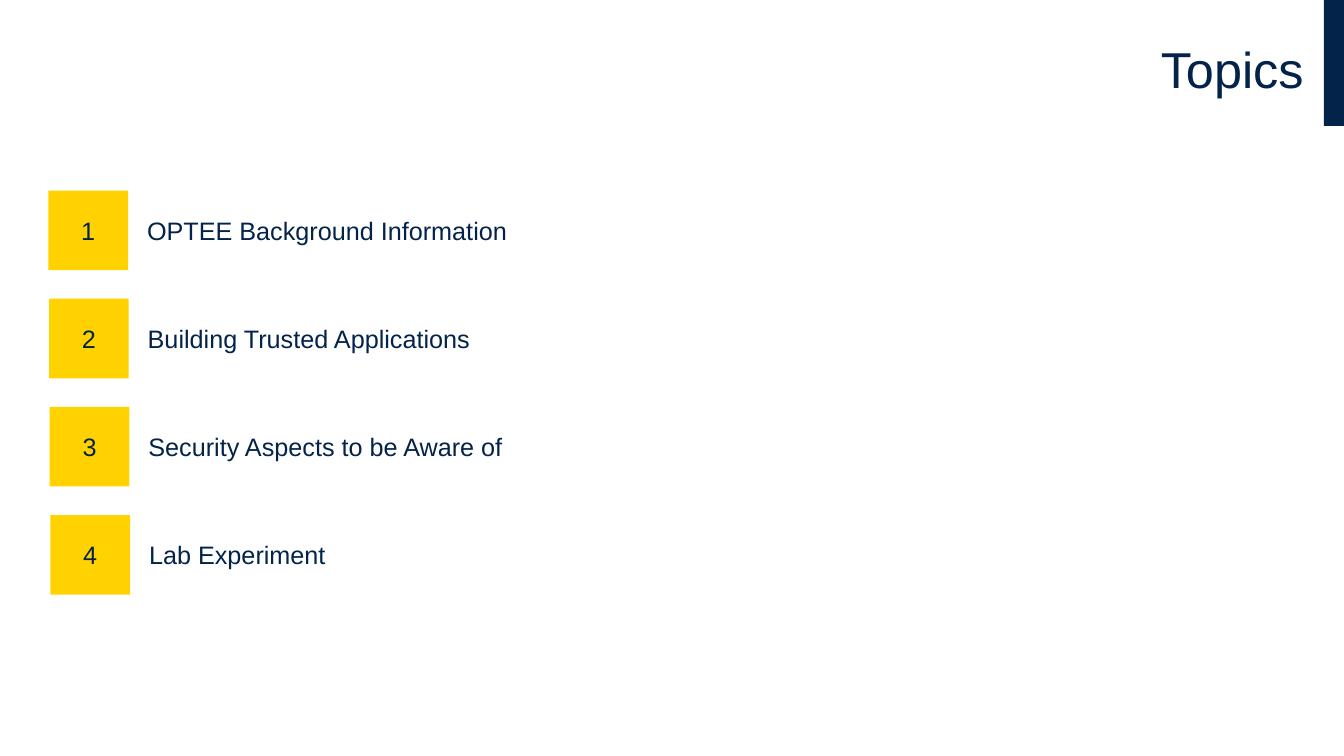
"""Build the Topics agenda slide with four numbered entries."""
import pptx
import pptx.dml.color
import pptx.enum.shapes
import pptx.enum.text
import pptx.util

TITLE = "Topics"
TOPICS = [
    "OPTEE Background Information",
    "Building Trusted Applications",
    "Security Aspects to be Aware of",
    "Lab Experiment",
]

NAVY = pptx.dml.color.RGBColor(0x03, 0x23, 0x4B)
YELLOW = pptx.dml.color.RGBColor(0xFF, 0xD2, 0x00)
Inches = pptx.util.Inches
ALIGN = pptx.enum.text.PP_ALIGN
RECTANGLE = pptx.enum.shapes.MSO_SHAPE.RECTANGLE

FIRST_LEFT, LAST_LEFT = 0.48, 0.5
FIRST_TOP, LAST_TOP = 1.89, 5.11
TILE = 0.79
LABEL_OFFSET, LABEL_WIDTH = 0.88, 5.19

NO_INSETS = {"margin_left": 0, "margin_top": 0, "margin_right": 0, "margin_bottom": 0}


def set_attributes(target, values):
    for name, value in values.items():
        setattr(target, name, value)


def write_text(box, text, size, align, spacing=1.0, insets=None):
    frame = box.text_frame
    set_attributes(frame, {
        "word_wrap": True,
        "auto_size": pptx.enum.text.MSO_AUTO_SIZE.NONE,
        "vertical_anchor": pptx.enum.text.MSO_ANCHOR.MIDDLE,
        **(insets or {}),
    })
    para = frame.paragraphs[0]
    set_attributes(para, {"alignment": align, "line_spacing": spacing})
    span = para.add_run()
    span.text = text
    set_attributes(span.font, {"name": "Arial", "size": pptx.util.Pt(size)})
    span.font.color.rgb = NAVY


def add_block(page, left, top, width, height, color):
    block = page.shapes.add_shape(
        RECTANGLE, Inches(left), Inches(top), Inches(width), Inches(height))
    block.shadow.inherit = False
    block.fill.solid()
    block.fill.fore_color.rgb = color
    block.line.fill.background()
    return block


def main():
    deck = pptx.Presentation()
    set_attributes(deck, {"slide_width": Inches(13.33), "slide_height": Inches(7.5)})
    page = deck.slides.add_slide(deck.slide_layouts[5])

    add_block(page, 13.13, 0, 0.2, 1.25, NAVY)
    title = page.shapes.title
    set_attributes(title, {
        "left": Inches(0.33), "top": 0, "width": Inches(12.7), "height": Inches(1.43)})
    write_text(title, TITLE, 36, ALIGN.RIGHT, spacing=0.9)

    steps = len(TOPICS) - 1
    for index, topic in enumerate(TOPICS):
        left = FIRST_LEFT + (LAST_LEFT - FIRST_LEFT) * index / steps
        top = FIRST_TOP + (LAST_TOP - FIRST_TOP) * index / steps
        tile = add_block(page, left, top, TILE, TILE, YELLOW)
        write_text(tile, str(index + 1), 18, ALIGN.CENTER, insets=NO_INSETS)
        label = page.shapes.add_textbox(
            Inches(left + LABEL_OFFSET), Inches(top), Inches(LABEL_WIDTH), Inches(TILE))
        write_text(label, topic, 18, ALIGN.LEFT)

    deck.save("out.pptx")


if __name__ == "__main__":
    main()
